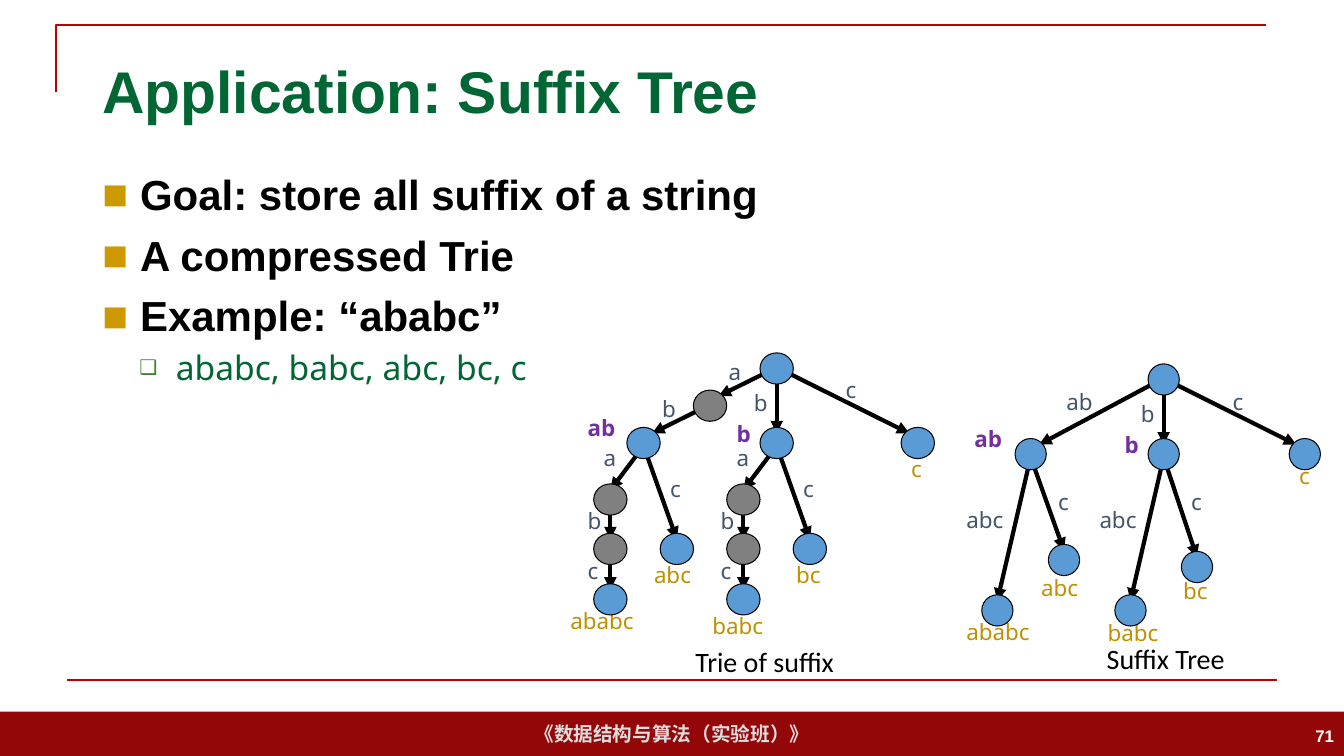
from lxml import etree
from pptx import Presentation
from pptx.dml.color import RGBColor
from pptx.enum.shapes import MSO_CONNECTOR, MSO_SHAPE
from pptx.enum.text import MSO_ANCHOR, PP_ALIGN
from pptx.oxml.ns import qn
from pptx.util import Pt

LINE = MSO_CONNECTOR.STRAIGHT
RECT, OVAL = MSO_SHAPE.RECTANGLE, MSO_SHAPE.OVAL
TOP, MIDDLE = MSO_ANCHOR.TOP, MSO_ANCHOR.MIDDLE
LEFT, CENTER, RIGHT = PP_ALIGN.LEFT, PP_ALIGN.CENTER, PP_ALIGN.RIGHT

BLACK = RGBColor(0x00, 0x00, 0x00)
WHITE = RGBColor(0xFF, 0xFF, 0xFF)
RED = RGBColor(0xC0, 0x00, 0x00)
MAROON = RGBColor(0x94, 0x07, 0x09)
SILVER = RGBColor(0xDD, 0xDD, 0xDD)
GREEN = RGBColor(0x00, 0x66, 0x33)
BLUE = RGBColor(0x5B, 0x9B, 0xD5)
GRAY = RGBColor(0x80, 0x80, 0x80)
SLATE = RGBColor(0x44, 0x54, 0x6A)
PURPLE = RGBColor(0x70, 0x30, 0xA0)
GOLD = RGBColor(0xBF, 0x90, 0x00)

# Content
TITLE = "Application: Suffix Tree"
FOOTER = "《数据结构与算法（实验班）》"
NUMBER = "71"
POINTS = [
    ("Goal: store all suffix of a string", 0),
    ("A compressed Trie", 0),
    ("Example: “ababc”", 0),
    ("ababc, babc, abc, bc, c", 1),
]
# Per level: size, font, colour, bold, indent, hang, space, bullet, its colour, its size
LEVELS = [
    (30, "Arial", BLACK, True, 27, 27, 7.5, "■", "CC9900", 65),
    (24, "Noto Sans", GREEN, False, 52.5, 26, 4.8, "❑", "3B812F", 60),
]

# Trees: nodes by prefix give the centre; edges marked True leave sideways
TRIE = {
    "size": (23.8, 22.3),
    "nodes": {
        "": (554.8, 263.2), "a": (507.2, 289.8), "ab": (459.7, 316.4),
        "b": (554.8, 316.4), "c": (655.6, 316.4),
        "aba": (436, 356.8), "abab": (436, 392.1), "ababc": (436, 428.1),
        "abc": (483.5, 392.1),
        "ba": (531, 356.8), "bab": (531, 392.1), "babc": (531, 428.1),
        "bc": (578.5, 392.1),
    },
    "gray": ("a", "aba", "abab", "ba", "bab"),
    "edges": [
        ("", "a", True), ("", "b", False), ("", "c", True), ("a", "ab", True),
        ("ab", "aba", False), ("aba", "abab", False), ("abab", "ababc", False),
        ("ab", "abc", False), ("b", "ba", False), ("ba", "bab", False),
        ("bab", "babc", False), ("b", "bc", False),
    ],
    "steps": [
        ("a", 513.4, 252), ("b", 465.8, 278.6), ("b", 531.4, 274.3),
        ("c", 596.9, 265), ("a", 424.1, 313.9), ("b", 412.6, 358.6),
        ("c", 412.6, 394.6), ("c", 471.6, 336.2), ("a", 519.1, 313.9),
        ("b", 507.6, 358.6), ("c", 507.6, 394.6), ("c", 566.6, 336.2),
    ],
    "repeats": [("ab", 412.6, 292.3), ("b", 519.1, 296.6)],
    "ends": [
        ("ababc", 400.3, 429.8), ("abc", 460.1, 397.4), ("babc", 501.8, 433.4),
        ("bc", 561.6, 397.4), ("c", 643.7, 321.8),
    ],
    "name": ("Trie of suffix", 489.6, 456.5, 114.5),
}
SUFFIX = {
    "size": (22.3, 22.3),
    "nodes": {
        "": (831.2, 271.1), "ab": (736.2, 324.4), "b": (831.2, 324.4),
        "c": (932, 324.4), "ababc": (712.4, 436), "abc": (760, 400),
        "babc": (807.5, 436), "bc": (855, 405),
    },
    "gray": (),
    "edges": [
        ("", "ab", True), ("", "b", False), ("", "c", True),
        ("ab", "ababc", False), ("ab", "abc", False),
        ("b", "babc", False), ("b", "bc", False),
    ],
    "steps": [
        ("ab", 754.6, 273.6), ("b", 807.8, 282.2), ("c", 873.4, 273.6),
        ("abc", 683.3, 357.8), ("c", 748.8, 344.9),
        ("abc", 778.3, 357.8), ("c", 843.8, 344.9),
    ],
    "repeats": [("ab", 689, 300.2), ("b", 796.3, 304.6)],
    "ends": [
        ("ababc", 683.3, 437.8), ("abc", 736.6, 406.8), ("babc", 784.1, 438.5),
        ("bc", 838.1, 409), ("c", 920.9, 326.9),
    ],
    "name": ("Suffix Tree", 783.4, 455, 100),
}
WIDTHS = {1: 32, 2: 53, 3: 53, 4: 89, 5: 89}

deck = Presentation()
deck.slide_width, deck.slide_height = Pt(960), Pt(540)
slide = deck.slides.add_slide(deck.slide_layouts[6])
shapes = slide.shapes


def write(para, text, size, font, color, bold=False):
    run = para.add_run()
    run.text = text
    run.font.size, run.font.name, run.font.bold = Pt(size), font, bold
    run.font.color.rgb = color


def box(x, y, w, h, anchor=TOP, wrap=True):
    frame = shapes.add_textbox(Pt(x), Pt(y), Pt(w), Pt(h)).text_frame
    frame.word_wrap, frame.vertical_anchor = wrap, anchor
    return frame


def line(x1, y1, x2, y2, color, width, arrow=False):
    link = shapes.add_connector(LINE, Pt(x1), Pt(y1), Pt(x2), Pt(y2))
    link.line.color.rgb, link.line.width = color, Pt(width)
    props = link._element.spPr
    if arrow:
        etree.SubElement(link.line._get_or_add_ln(), qn("a:tailEnd"), type="triangle")
    etree.SubElement(props, qn("a:effectLst"))


def bullet(para, left, hang, mark, color, size):
    props = para._p.get_or_add_pPr()
    props.set("marL", str(Pt(left)))
    props.set("indent", str(-Pt(hang)))
    tint = etree.SubElement(props, qn("a:buClr"))
    etree.SubElement(tint, qn("a:srgbClr"), val=color)
    etree.SubElement(props, qn("a:buSzPct"), val=str(size * 1000))
    etree.SubElement(props, qn("a:buFont"), typeface="Noto Sans")
    etree.SubElement(props, qn("a:buChar"), char=mark)


def tree(data):
    nodes = data["nodes"]
    # Edges
    for start, end, side in data["edges"]:
        (x1, y1), (x2, y2) = nodes[start], nodes[end]
        shift = 0
        if side:
            shift = 6 if x2 > x1 else -6
        line(x1 + shift, y1 + 2.2, x2 - shift, y2 - 6.8, BLACK, 3, True)
    # Labels
    for kind, color in (("steps", SLATE), ("repeats", PURPLE), ("ends", GOLD)):
        for text, x, y in data[kind]:
            frame = box(x, y, WIDTHS[len(text)], 26.6)
            write(frame.paragraphs[0], text, 16, "Noto Sans", color, kind == "repeats")
    text, x, y, w = data["name"]
    write(box(x, y, w, 31.7, wrap=False).paragraphs[0], text, 20, "Calibri", BLACK)
    # Nodes
    w, h = data["size"]
    for key, (x, y) in nodes.items():
        node = shapes.add_shape(OVAL, Pt(x - w / 2), Pt(y - h / 2), Pt(w), Pt(h))
        node.shadow.inherit = False
        node.fill.solid()
        node.fill.fore_color.rgb = GRAY if key in data["gray"] else BLUE
        node.line.color.rgb, node.line.width = BLACK, Pt(0.75)


# Frame and footer
bar = shapes.add_shape(RECT, 0, Pt(508.3), Pt(960), Pt(31.7))
bar.shadow.inherit = False
bar.fill.solid()
bar.fill.fore_color.rgb = MAROON
bar.line.fill.background()
bar.text_frame.word_wrap = False
bar.text_frame.vertical_anchor = MIDDLE
para = bar.text_frame.paragraphs[0]
para.alignment = CENTER
write(para, FOOTER, 14, "Arial", SILVER, True)

path = shapes.build_freeform(Pt(40), Pt(66), 1.0)
path.add_line_segments([(Pt(40), Pt(18)), (Pt(904), Pt(18))], close=False)
edge = path.convert_to_shape()
edge.shadow.inherit = False
edge.fill.background()
edge.line.color.rgb, edge.line.width = RED, Pt(1.5)
line(48, 486, 912, 486, RED, 1.5)

# Title, points and number
write(box(66, 29, 828, 71, MIDDLE).paragraphs[0], TITLE, 42, "Arial", GREEN, True)
body = box(66, 116.6, 828, 371)
for i, (text, level) in enumerate(POINTS):
    size, font, color, bold, left, hang, space, mark, tint, scale = LEVELS[level]
    para = body.add_paragraph() if i else body.paragraphs[0]
    para.level, para.space_before = level, Pt(space)
    bullet(para, left, hang, mark, tint, scale)
    write(para, text, size, font, color, bold)
para = box(744, 511.2, 216, 28.8, MIDDLE).paragraphs[0]
para.alignment = RIGHT
write(para, NUMBER, 12, "Arial", WHITE, True)

# Trees
tree(TRIE)
tree(SUFFIX)

deck.save("out.pptx")
